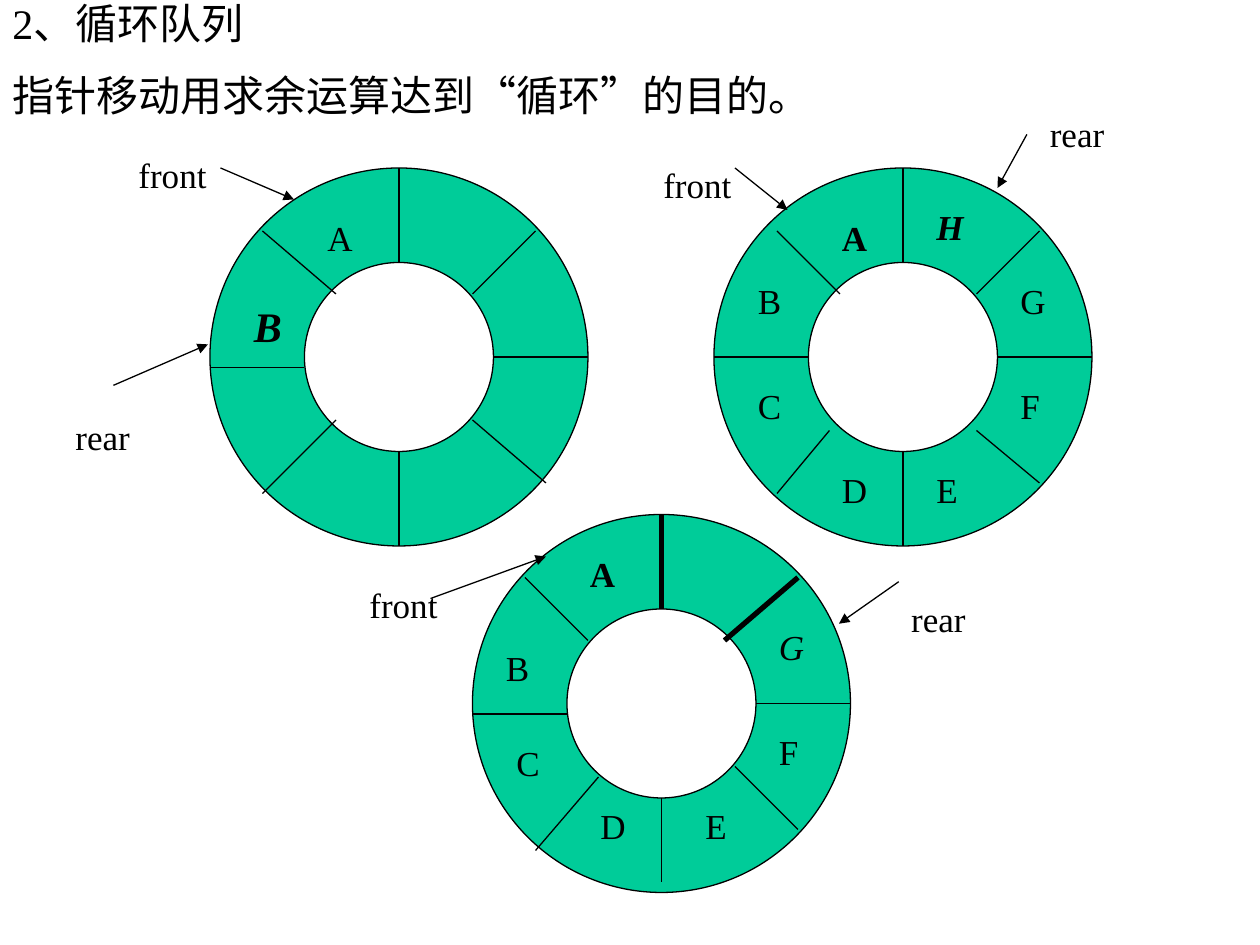
from lxml import etree
from pptx import Presentation
from pptx.dml.color import RGBColor
from pptx.enum.shapes import MSO_CONNECTOR, MSO_SHAPE
from pptx.enum.text import MSO_ANCHOR
from pptx.oxml.ns import qn
from pptx.util import Cm, Pt

DONUT = MSO_SHAPE.DONUT
STRAIGHT = MSO_CONNECTOR.STRAIGHT
TOP, MIDDLE = MSO_ANCHOR.TOP, MSO_ANCHOR.MIDDLE

COLORS = {"ring": "00CC99", "ink": "000000"}
GRID_CM = 2.54 / 12
RADIUS = 18
BOLD = {"bold": True}
ITALIC = {"italic": True}
BOLD_ITALIC = {**BOLD, **ITALIC}
THICK = 3

TOP_SPOKE = (0, -18, 0, -9)
BOTTOM_SPOKE = (0, 9, 0, 18)
RIGHT_SPOKE = (9, 0, 18, 0)
LOW_LEFT_SPOKE = (-18, 1, -9, 1)

RINGS = [
    {
        "center": (38, 34),
        "spokes": [
            TOP_SPOKE, BOTTOM_SPOKE, LOW_LEFT_SPOKE, RIGHT_SPOKE,
            (-13, -12, -6, -6), (7, 6, 14, 12), (-13, 13, -6, 6), (7, -6, 13, -12),
        ],
        "cells": [
            ("A", -8, -14, {}),
            ("B", -15, -6, {**BOLD_ITALIC, "size": Pt(24)}),
        ],
        "pointers": [
            ("front", (12, 14, 15), (21, 16, 28, 19)),
            ("rear", (6, 39, 12), (10.8, 36.7, 19.8, 32.8)),
        ],
    },
    {
        "center": (86, 34),
        "spokes": [
            TOP_SPOKE, BOTTOM_SPOKE, (-18, 0, -9, 0), RIGHT_SPOKE,
            (-12, -12, -6, -6), (7, 7, 13, 12), (-12, 13, -7, 7), (13, -12, 7, -6),
        ],
        "cells": [
            ("A", -7, -14, BOLD), ("B", -15, -8, {}), ("C", -15, 2, {}),
            ("D", -7, 10, {}), ("E", 2, 10, {}), ("F", 10, 2, {}),
            ("G", 10, -8, {}), ("H", 2, -15, BOLD_ITALIC),
        ],
        "pointers": [
            ("front", (62, 15, 11), (70, 16, 75, 20)),
            ("rear", (98.8, 10.1, 10), (97.8, 12.8, 95, 17.9)),
        ],
    },
    {
        "center": (63, 67),
        "spokes": [
            (*TOP_SPOKE, THICK), (0, 9, 0, 17), LOW_LEFT_SPOKE, RIGHT_SPOKE,
            (-13, -12, -7, -6), (7, 6, 13, 12), (-12, 14, -6, 7),
            (13, -12, 6, -6, THICK),
        ],
        "cells": [
            ("A", -8, -15, BOLD), ("G", 10, -8, ITALIC), ("B", -16, -6, {}),
            ("C", -15, 3, {}), ("D", -7, 9, {}), ("E", 3, 9, {}), ("F", 10, 2, {}),
        ],
        "pointers": [
            ("front", (34, 55, 12), (41, 57, 52, 53)),
            ("rear", (85.6, 56.3, 11), (85.6, 55.4, 79.9, 59.4)),
        ],
    },
]


def grid(*values):
    return [Cm(v * GRID_CM) for v in values]


class Sketch:
    def __init__(self, slide):
        self.slide = slide
        self.ink = RGBColor.from_string(COLORS["ink"])
        self.font = {"name": "Times New Roman", "size": Pt(20)}

    def outline(self, sp, width=0.75):
        sp.line.color.rgb = self.ink
        sp.line.width = Pt(width)

    def text(self, text, x, y, w, h=5.3, anchor=TOP, **fmt):
        sp = self.slide.shapes.add_textbox(*grid(x, y, w, h))
        tf = sp.text_frame
        tf.word_wrap = True
        tf.vertical_anchor = anchor
        r = tf.paragraphs[0].add_run()
        r.text = text
        for name, value in {**self.font, **fmt}.items():
            setattr(r.font, name, value)
        r.font.color.rgb = self.ink

    def ring(self, cx, cy):
        box = grid(cx - RADIUS, cy - RADIUS, 2 * RADIUS, 2 * RADIUS)
        sp = self.slide.shapes.add_shape(DONUT, *box)
        sp.shadow.inherit = False
        sp.fill.solid()
        sp.fill.fore_color.rgb = RGBColor.from_string(COLORS["ring"])
        self.outline(sp)

    def line(self, x1, y1, x2, y2, width=0.75, arrow=False):
        sp = self.slide.shapes.add_connector(STRAIGHT, *grid(x1, y1, x2, y2))
        self.outline(sp, width)
        if arrow:
            ln = sp.line._get_or_add_ln()
            etree.SubElement(ln, qn("a:tailEnd"), type="triangle")
        etree.SubElement(sp._element.spPr, qn("a:effectLst"))


def main():
    prs = Presentation()
    prs.slide_width, prs.slide_height = Cm(25.4), Cm(19.05)
    s = Sketch(prs.slides.add_slide(prs.slide_layouts[6]))

    s.text("2、循环队列", 0, 0, 102, 4.3, MIDDLE, size=Pt(24))
    s.text("指针移动用求余运算达到“循环”的目的。", 0, 6, 117, 80, size=Pt(24))

    for ring in RINGS:
        cx, cy = ring["center"]
        s.ring(cx, cy)
        for x1, y1, x2, y2, *width in ring["spokes"]:
            s.line(cx + x1, cy + y1, cx + x2, cy + y2, *width)
        for letter, dx, dy, fmt in ring["cells"]:
            s.text(letter, cx + dx, cy + dy, 6, **fmt)
        for label, place, arrow in ring["pointers"]:
            s.text(label, *place)
            s.line(*arrow, arrow=True)

    prs.save("out.pptx")


if __name__ == "__main__":
    main()
